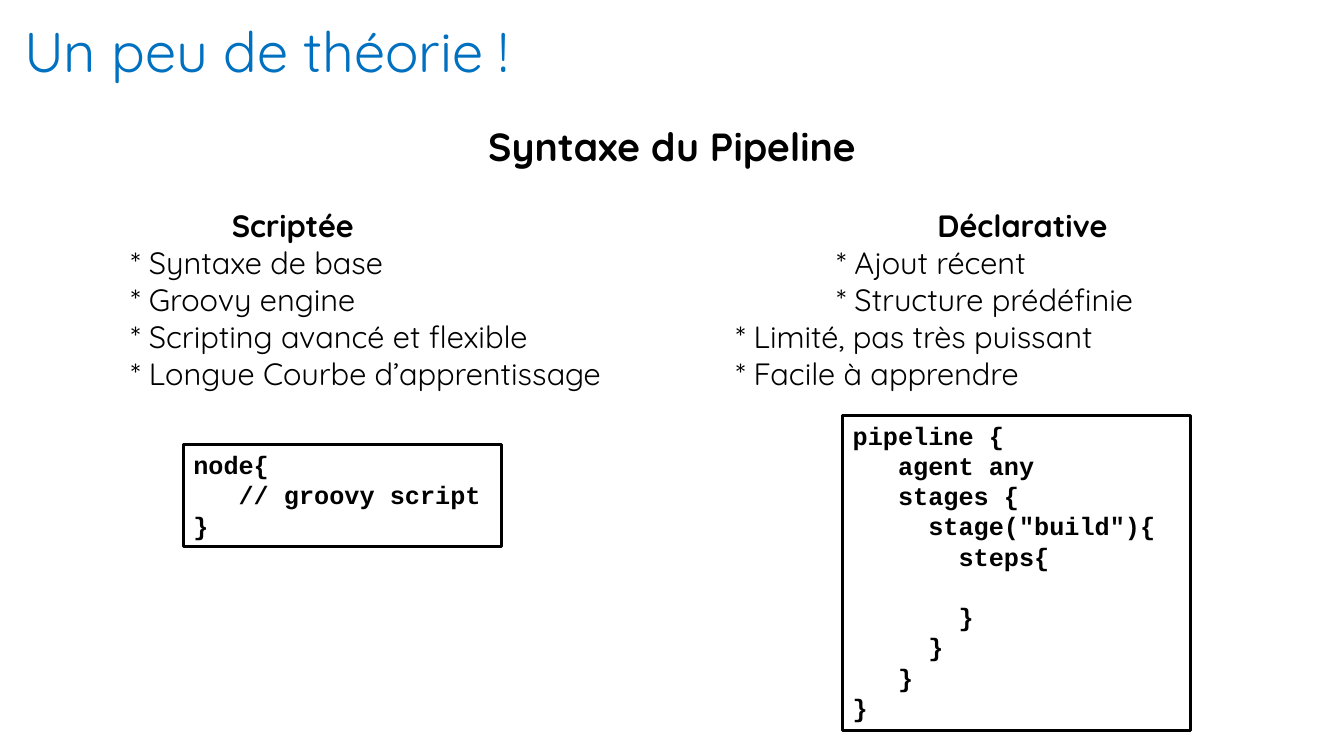
from lxml.etree import SubElement
from pptx import Presentation
from pptx.dml.color import RGBColor
from pptx.enum.shapes import MSO_SHAPE
from pptx.enum.text import MSO_ANCHOR, MSO_AUTO_SIZE, PP_ALIGN
from pptx.oxml.ns import qn
from pptx.util import Pt

TITLE_ONLY = 5

# Left text, its tab stop, right text, its tab stop (points)
COMPARISON = [
    ("Scriptée", 144, "Déclarative", 648),
    ("* Syntaxe de base", 72, "* Ajout récent", 576),
    ("* Groovy engine", 72, "* Structure prédéfinie", 576),
    ("* Scripting avancé et flexible", 72, "* Limité, pas très puissant", 504),
    ("* Longue Courbe d’apprentissage", 72, "* Facile à apprendre", 504),
]

SCRIPTED_CODE = """node{
   // groovy script
}"""

DECLARATIVE_CODE = """pipeline {
   agent any
   stages {
     stage("build"){
       steps{

       }
     }
   }
}"""


def color(hex_string):
    return RGBColor.from_string(hex_string)


class SlideBuilder:
    text_font = "Quicksand"
    code_font = "Courier New"
    ink = "000000"
    accent = "0070C0"

    def __init__(self, deck):
        self.page = deck.slides.add_slide(deck.slide_layouts[TITLE_ONLY])

    def style(self, paragraph, size, bold=False, name=text_font, ink=ink):
        font = paragraph.font
        font.name, font.size, font.bold = name, Pt(size), bold
        font.color.rgb = color(ink)

    def set_tabs(self, paragraph, stops):
        """Give the paragraph left tab stops, in points."""
        tabs = SubElement(paragraph._p.get_or_add_pPr(), qn("a:tabLst"))
        for stop in stops:
            SubElement(tabs, qn("a:tab"), pos=str(Pt(stop)), algn="l")

    def title(self, text, left, top, width, height):
        box = self.page.shapes.title
        box.left, box.top, box.width, box.height = map(Pt, (left, top, width, height))
        frame = box.text_frame
        frame.text = text
        frame.auto_size = MSO_AUTO_SIZE.NONE
        frame.vertical_anchor = MSO_ANCHOR.TOP
        paragraph = frame.paragraphs[0]
        paragraph.alignment = PP_ALIGN.LEFT
        self.style(paragraph, 40, ink=self.accent)

    def comparison(self, heading, rows, left, top, width, height):
        """Write a centred heading above rows of two tabbed columns."""
        box = self.page.shapes.add_textbox(*map(Pt, (left, top, width, height)))
        frame = box.text_frame
        frame.word_wrap = True
        frame.text = heading
        frame.paragraphs[0].alignment = PP_ALIGN.CENTER
        self.style(frame.paragraphs[0], 28, bold=True)
        for index, (first, first_tab, second, second_tab) in enumerate(rows):
            paragraph = frame.add_paragraph()
            paragraph.text = f"\t{first}\t{second}"
            if index == 0:
                paragraph.space_before = Pt(26.4)
            self.set_tabs(paragraph, (first_tab, second_tab))
            self.style(paragraph, 22, bold=index == 0)

    def code(self, text, left, top, width, height):
        box = self.page.shapes.add_shape(
            MSO_SHAPE.RECTANGLE, *map(Pt, (left, top, width, height)))
        box.shadow.inherit = False
        box.fill.background()
        box.line.color.rgb = color(self.ink)
        box.line.width = Pt(2.25)
        frame = box.text_frame
        frame.word_wrap = True
        frame.vertical_anchor = MSO_ANCHOR.TOP
        frame.text = text
        for paragraph in frame.paragraphs:
            paragraph.alignment = PP_ALIGN.LEFT
            self.style(paragraph, 18, bold=True, name=self.code_font)


def main():
    deck = Presentation()
    deck.slide_width, deck.slide_height = Pt(960), Pt(540)
    slide = SlideBuilder(deck)
    slide.title("Un peu de théorie !", 10, 8, 647, 55.5)
    slide.comparison("Syntaxe du Pipeline", COMPARISON, 14.5, 84, 931, 201)
    slide.code(SCRIPTED_CODE, 131, 317.5, 227.5, 73)
    slide.code(DECLARATIVE_CODE, 602, 296.5, 248.5, 225.5)
    deck.save("out.pptx")


if __name__ == "__main__":
    main()
